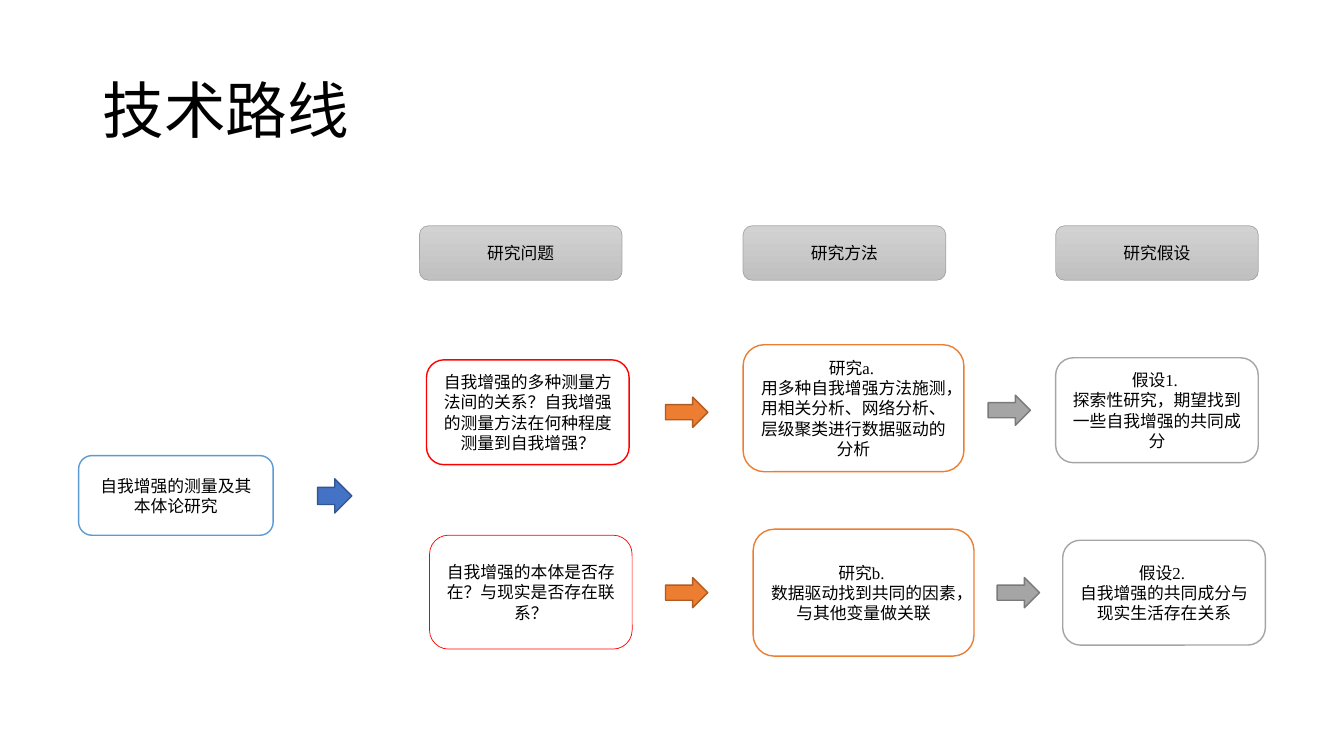
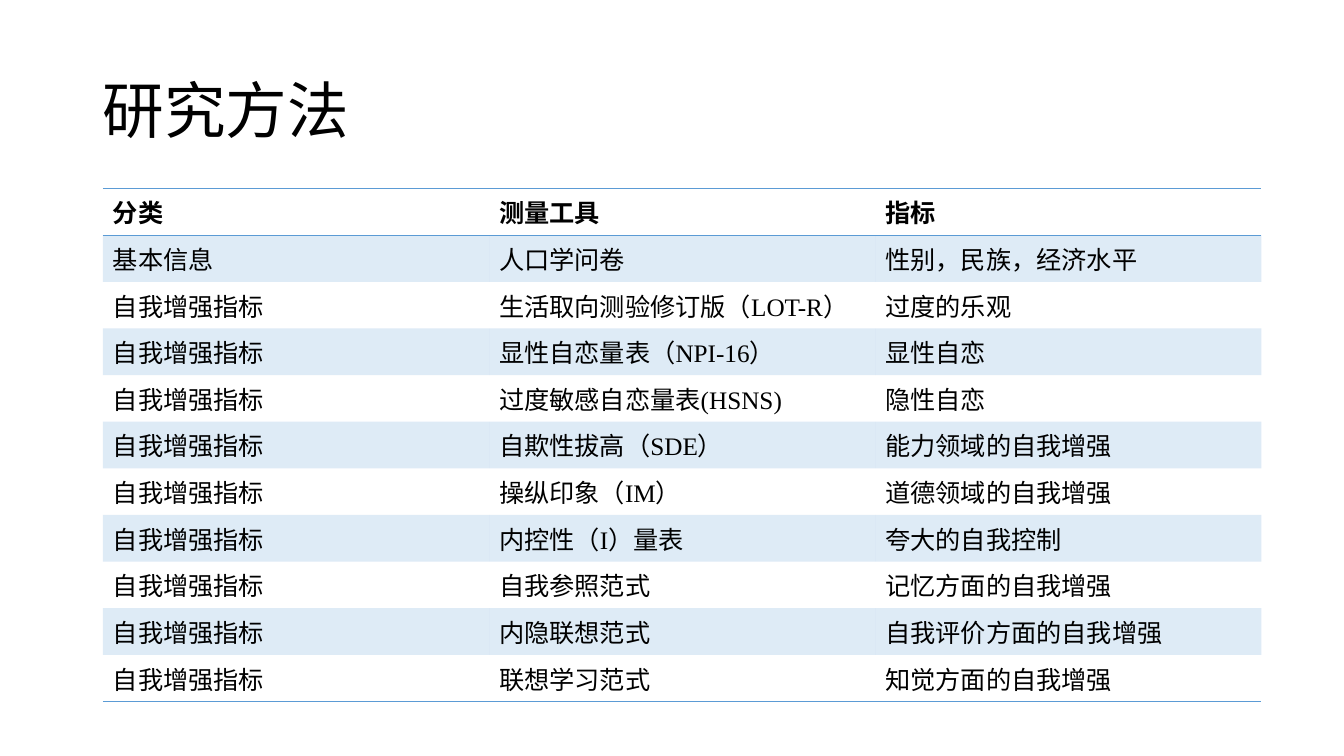
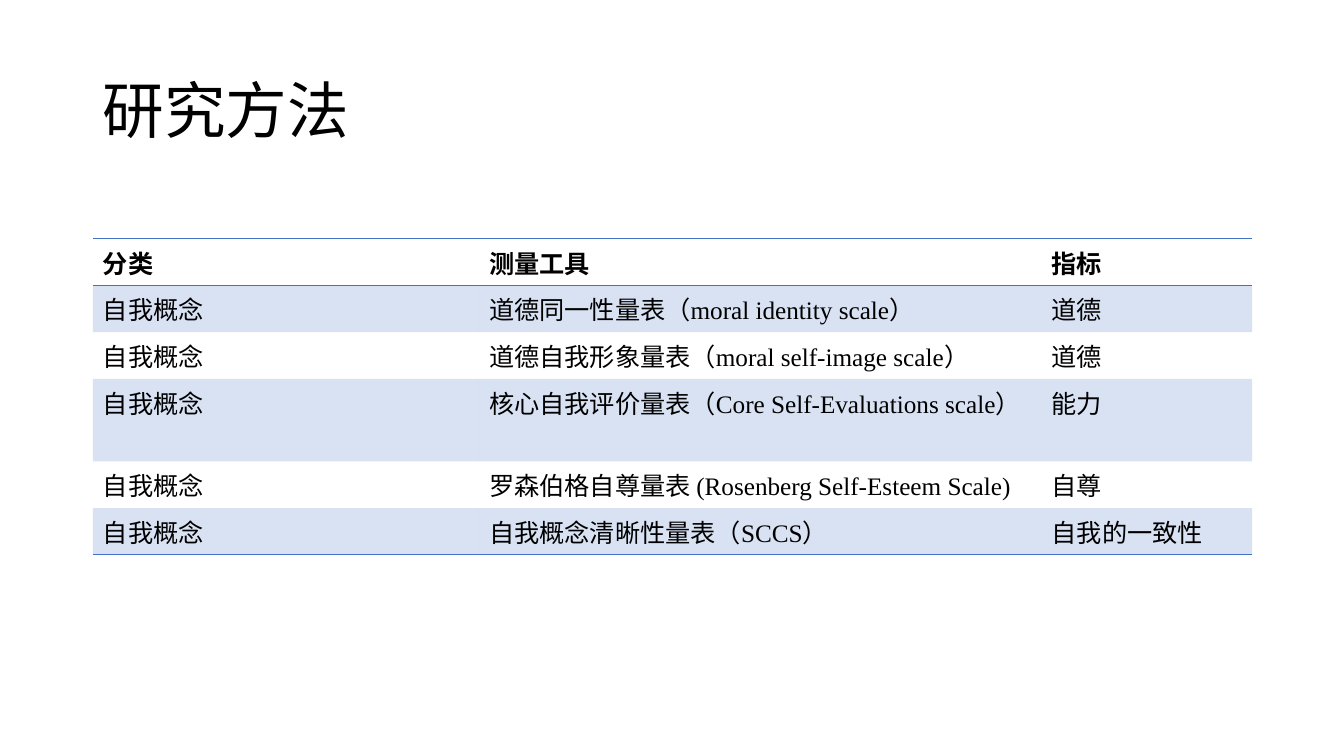
"""Build three slides on a research roadmap and its measurement methods."""
from lxml import etree
from pptx import Presentation
from pptx.dml.color import RGBColor
from pptx.enum.shapes import MSO_SHAPE
from pptx.enum.text import MSO_ANCHOR, PP_ALIGN
from pptx.oxml.ns import qn
from pptx.util import Inches, Pt

ROUNDED = MSO_SHAPE.ROUNDED_RECTANGLE
ARROW = MSO_SHAPE.RIGHT_ARROW
MIDDLE = MSO_ANCHOR.MIDDLE
CENTER = PP_ALIGN.CENTER
NO_STYLE = "{2D5ABB26-0587-4C30-8999-92F81FD0307C}"
COLORS = {
    "black": "000000", "white": "FFFFFF", "red": "FF0000",
    "sky": "5B9BD5", "blue": "4472C4", "blue_edge": "325491",
    "orange": "ED7D31", "orange_edge": "AF5C24",
    "gray": "A5A5A5", "gray_edge": "7A7A7A",
    "header_top": "D2D2D2", "header_bottom": "C0C0C0",
}
FONT = "Times New Roman"
TITLE_FORMAT = {"name": FONT, "size": Pt(44)}
BOX_FORMAT = {"name": FONT, "size": Pt(12)}
HEAD_FORMAT = {"name": FONT, "size": Pt(18), "bold": True}
BODY_FORMAT = {"name": FONT, "size": Pt(18), "bold": False}


def color(name):
    return RGBColor.from_string(COLORS[name])


def write(paragraph, text, text_format):
    run = paragraph.add_run()
    run.text = text
    for attribute, value in text_format.items():
        setattr(run.font, attribute, value)
    run.font.color.rgb = color("black")


presentation = Presentation()
presentation.slide_width = Inches(13.33)
presentation.slide_height = Inches(7.5)

slides = []
for title in ["技术路线", "研究方法", "研究方法"]:
    slide = presentation.slides.add_slide(presentation.slide_layouts[6])
    title_box = slide.shapes.add_textbox(
        Inches(0.92), Inches(0.4), Inches(11.5), Inches(1.45))
    title_box.text_frame.word_wrap = True
    title_box.text_frame.vertical_anchor = MIDDLE
    paragraph = title_box.text_frame.paragraphs[0]
    paragraph.line_spacing = 0.9
    write(paragraph, title, TITLE_FORMAT)
    slides.append(slide)

header_size, topic_size, method_size = (2.01, 0.54), (2.01, 1.04), (2.19, 1.26)
boxes = [
    (4.16, 2.24, header_size, "header", "gray", 0.5, ["研究问题"]),
    (7.37, 2.24, header_size, "header", "gray", 0.5, ["研究方法"]),
    (10.47, 2.24, header_size, "header", "gray", 0.5, ["研究假设"]),
    (0.78, 4.52, (1.93, 0.79), "white", "sky", 1, ["自我增强的测量及其本体论研究"]),
    (4.23, 3.57, topic_size, "white", "red", 1,
     ["自我增强的多种测量方法间的关系？自我增强的测量方法在何种程度测量到自我增强？"]),
    (4.26, 5.31, (2.01, 1.13), None, "red", 0.5,
     ["自我增强的本体是否存在？与现实是否存在联系？"]),
    (7.37, 3.42, method_size, "white", "orange", 1,
     ["研究a. ", "用多种自我增强方法施测，用相关分析、网络分析、层级聚类进行数据驱动的分析"]),
    (7.47, 5.25, method_size, "white", "orange", 1,
     ["研究b. ", "数据驱动找到共同的因素，与其他变量做关联"]),
    (10.47, 3.55, topic_size, "white", "gray", 1,
     ["假设1. ", "探索性研究，期望找到一些自我增强的共同成分"]),
    (10.54, 5.36, topic_size, "white", "gray", 1,
     ["假设2. ", "自我增强的共同成分与现实生活存在关系"]),
]
for left, top, (width, height), fill, line, weight, texts in boxes:
    shape = slides[0].shapes.add_shape(
        ROUNDED, Inches(left), Inches(top), Inches(width), Inches(height))
    shape.shadow.inherit = False
    if fill == "header":
        shape.fill.gradient()
        shape.fill.gradient_angle = 270
        for stop, name in zip(shape.fill.gradient_stops, ["header_top", "header_bottom"]):
            stop.color.rgb = color(name)
    elif fill:
        shape.fill.solid()
        shape.fill.fore_color.rgb = color(fill)
    else:
        shape.fill.background()
    shape.line.color.rgb = color(line)
    shape.line.width = Pt(weight)
    frame = shape.text_frame
    frame.word_wrap = True
    frame.vertical_anchor = MIDDLE
    for index, text in enumerate(texts):
        paragraph = frame.add_paragraph() if index else frame.paragraphs[0]
        paragraph.alignment = CENTER
        paragraph.line_spacing = Pt(14.5)
        write(paragraph, text, BOX_FORMAT)

arrows = [
    (3.15, 4.75, 0.34, 0.34, "blue"),
    (6.6, 3.94, 0.42, 0.3, "orange"),
    (6.6, 5.73, 0.42, 0.3, "orange"),
    (9.8, 3.92, 0.42, 0.3, "gray"),
    (9.89, 5.73, 0.42, 0.3, "gray"),
]
for left, top, width, height, name in arrows:
    shape = slides[0].shapes.add_shape(
        ARROW, Inches(left), Inches(top), Inches(width), Inches(height))
    shape.shadow.inherit = False
    shape.fill.solid()
    shape.fill.fore_color.rgb = color(name)
    shape.line.color.rgb = color(name + "_edge")
    shape.line.width = Pt(1)

heading = ("分类", "测量工具", "指标")
enhancement_measures = [
    ("生活取向测验修订版（LOT-R）", "过度的乐观"),
    ("显性自恋量表（NPI-16）", "显性自恋"),
    ("过度敏感自恋量表(HSNS)", "隐性自恋"),
    ("自欺性拔高（SDE）", "能力领域的自我增强"),
    ("操纵印象（IM）", "道德领域的自我增强"),
    ("内控性（I）量表", "夸大的自我控制"),
    ("自我参照范式", "记忆方面的自我增强"),
    ("内隐联想范式", "自我评价方面的自我增强"),
    ("联想学习范式", "知觉方面的自我增强"),
]
concept_measures = [
    ("道德同一性量表（moral identity scale）", "道德"),
    ("道德自我形象量表（moral self-image scale）", "道德"),
    ("核心自我评价量表（Core Self-Evaluations scale）", "能力"),
    ("罗森伯格自尊量表 (Rosenberg Self-Esteem Scale)", "自尊"),
    ("自我概念清晰性量表（SCCS）", "自我的一致性"),
]
enhancement_rows = [heading, ("基本信息", "人口学问卷", "性别，民族，经济水平")]
enhancement_rows += [("自我增强指标", *measure) for measure in enhancement_measures]
concept_rows = [heading] + [("自我概念", *measure) for measure in concept_measures]
row_height = 5.09 / len(enhancement_rows)
enhancement_heights = [row_height] * len(enhancement_rows)
concept_heights = [row_height] * 3 + [0.82] + [row_height] * 2

tables = [
    (slides[1], 1.02, 1.87, [3.83, 3.83, 3.83], enhancement_heights, "sky", enhancement_rows),
    (slides[2], 0.92, 2.37, [3.83, 5.58, 2.09], concept_heights, "blue", concept_rows),
]
for slide, left, top, widths, heights, accent, rows in tables:
    table = slide.shapes.add_table(
        len(rows), len(widths), Inches(left), Inches(top),
        Inches(sum(widths)), Inches(sum(heights))).table
    table._tbl.tblPr.find(qn("a:tableStyleId")).text = NO_STYLE
    for column, width in zip(table.columns, widths):
        column.width = Inches(width)
    for row_index, row in enumerate(rows):
        table.rows[row_index].height = Inches(heights[row_index])
        edges = []
        if row_index == 0:
            edges = ["a:lnT", "a:lnB"]
        elif row_index == len(rows) - 1:
            edges = ["a:lnB"]
        for column_index, text in enumerate(row):
            cell = table.cell(row_index, column_index)
            write(cell.text_frame.paragraphs[0], text,
                  BODY_FORMAT if row_index else HEAD_FORMAT)
            properties = cell._tc.get_or_add_tcPr()
            for edge in edges:
                border = etree.SubElement(properties, qn(edge), w=str(Pt(1)))
                border_fill = etree.SubElement(border, qn("a:solidFill"))
                etree.SubElement(border_fill, qn("a:srgbClr"), val=COLORS[accent])
            if row_index % 2:
                cell.fill.solid()
                cell.fill.fore_color.rgb = color(accent)
                band_color = properties.find(qn("a:solidFill")).find(qn("a:srgbClr"))
                etree.SubElement(band_color, qn("a:alpha"), val="20000")
            else:
                cell.fill.background()

presentation.save("out.pptx")
